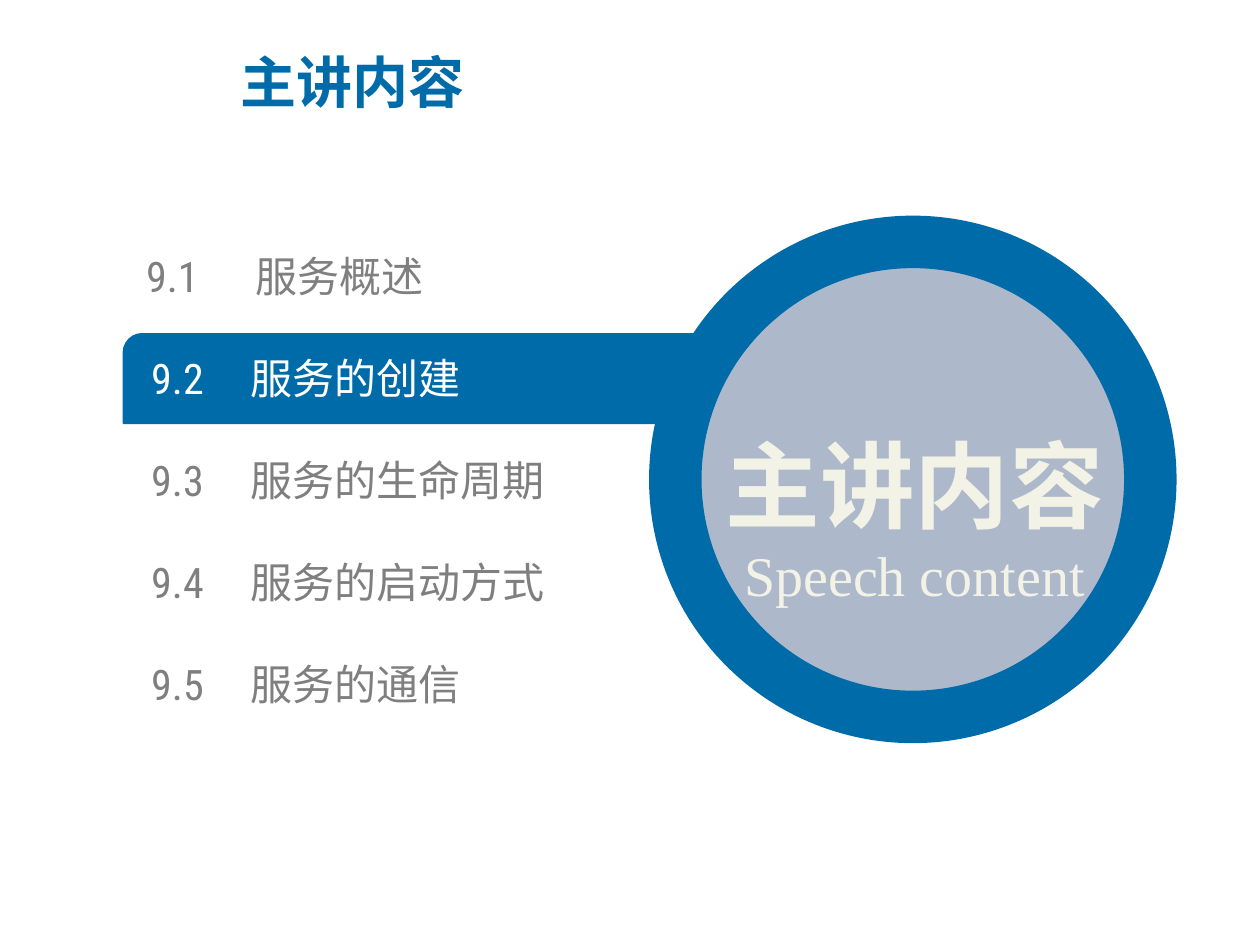
from lxml.etree import SubElement
from pptx import Presentation
from pptx.dml.color import RGBColor
from pptx.enum.shapes import MSO_SHAPE
from pptx.enum.text import MSO_ANCHOR, PP_ALIGN
from pptx.oxml.ns import qn
from pptx.util import Inches, Pt

COLORS = {"blue": "006BA9", "disc": "ADB9CA", "cream": "F2F2E6",
          "gray": "7F7F7F", "white": "FFFFFF"}
CHINESE_FONT = "Noto Sans CJK SC"
ITEMS = ["服务概述", "服务的创建", "服务的生命周期", "服务的启动方式", "服务的通信"]
CURRENT = 1


def color(name):
    """Return the named colour."""
    return RGBColor.from_string(COLORS[name])


def add_box(page, left, top, width, height, margin=0.0):
    """Add a wrapping, vertically centred text box and return its frame."""
    box = page.shapes.add_textbox(Inches(left), Inches(top), Inches(width), Inches(height))
    frame = box.text_frame
    frame.word_wrap = True
    frame.vertical_anchor = MSO_ANCHOR.MIDDLE
    frame.margin_left = frame.margin_right = Inches(margin)
    frame.margin_top = frame.margin_bottom = Inches(margin / 2)
    return frame


def write(para, text, size, font_name, color_name, bold=False):
    """Fill a paragraph and set its Latin and Chinese fonts."""
    para.text = text
    font = para.font
    font.size, font.bold, font.name = Pt(size), bold, font_name
    font.color.rgb = color(color_name)
    properties = para._p.pPr.find(qn("a:defRPr"))
    SubElement(properties, qn("a:ea")).set("typeface", CHINESE_FONT)


def add_tab_stop(para, position):
    """Give a paragraph one left tab stop."""
    properties = para._p.get_or_add_pPr()
    tabs = SubElement(properties, qn("a:tabLst"))
    SubElement(tabs, qn("a:tab"), pos=str(Inches(position)), algn="l")
    properties.insert(0, tabs)


def add_shape(page, kind, left, top, width, height, fill, line_width):
    """Add a flat shape with a blue outline."""
    shape = page.shapes.add_shape(kind, Inches(left), Inches(top), Inches(width), Inches(height))
    shape.shadow.inherit = False
    shape.fill.solid()
    shape.fill.fore_color.rgb = color(fill)
    shape.line.color.rgb = color("blue")
    shape.line.width = Pt(line_width)
    return shape


def add_title(page, left, top, width, height):
    """Write the slide heading."""
    frame = add_box(page, left, top, width, height, 0.1)
    write(frame.paragraphs[0], "主讲内容", 32, CHINESE_FONT, "blue", True)


def add_agenda(page, left, top, width, pitch):
    """List the sections and highlight the current one."""
    bar = add_shape(page, MSO_SHAPE.ROUND_2_DIAG_RECTANGLE, left - 0.22,
                    top + CURRENT * pitch - 0.15, 5.99, 0.71, "blue", 1)
    bar.adjustments[0] = 0.21
    bar.adjustments[1] = 0
    for index, name in enumerate(ITEMS):
        offset = 0.04 if index == 0 else 0
        frame = add_box(page, left - offset, top + index * pitch, width, 0.4)
        para = frame.paragraphs[0]
        write(para, f"9.{index + 1}\t{name}", 24, "Roboto Condensed",
              "white" if index == CURRENT else "gray")
        add_tab_stop(para, 0.79 + 2 * offset)


def add_emblem(page, left, top, size):
    """Draw the ringed disc with its bilingual caption."""
    add_shape(page, MSO_SHAPE.OVAL, left, top, size, size, "disc", 30)
    frame = add_box(page, left - 0.05, top + 0.96, size + 0.13, 2, 0.1)
    chinese, english = frame.paragraphs[0], frame.add_paragraph()
    write(chinese, "主讲内容", 54, CHINESE_FONT, "cream", True)
    write(english, "Speech content", 32, "Times New Roman", "cream")
    chinese.line_spacing = 1.5
    chinese.alignment = english.alignment = PP_ALIGN.CENTER


def main():
    """Build and save the slide."""
    deck = Presentation()
    deck.slide_width, deck.slide_height = Inches(10), Inches(7.5)
    page = deck.slides.add_slide(deck.slide_layouts[6])
    add_title(page, 1.81, 0.22, 5.63, 0.84)
    add_agenda(page, 1.2, 1.99, 4.19, 0.81)
    add_emblem(page, 5.36, 1.92, 3.77)
    deck.save("out.pptx")


if __name__ == "__main__":
    main()
